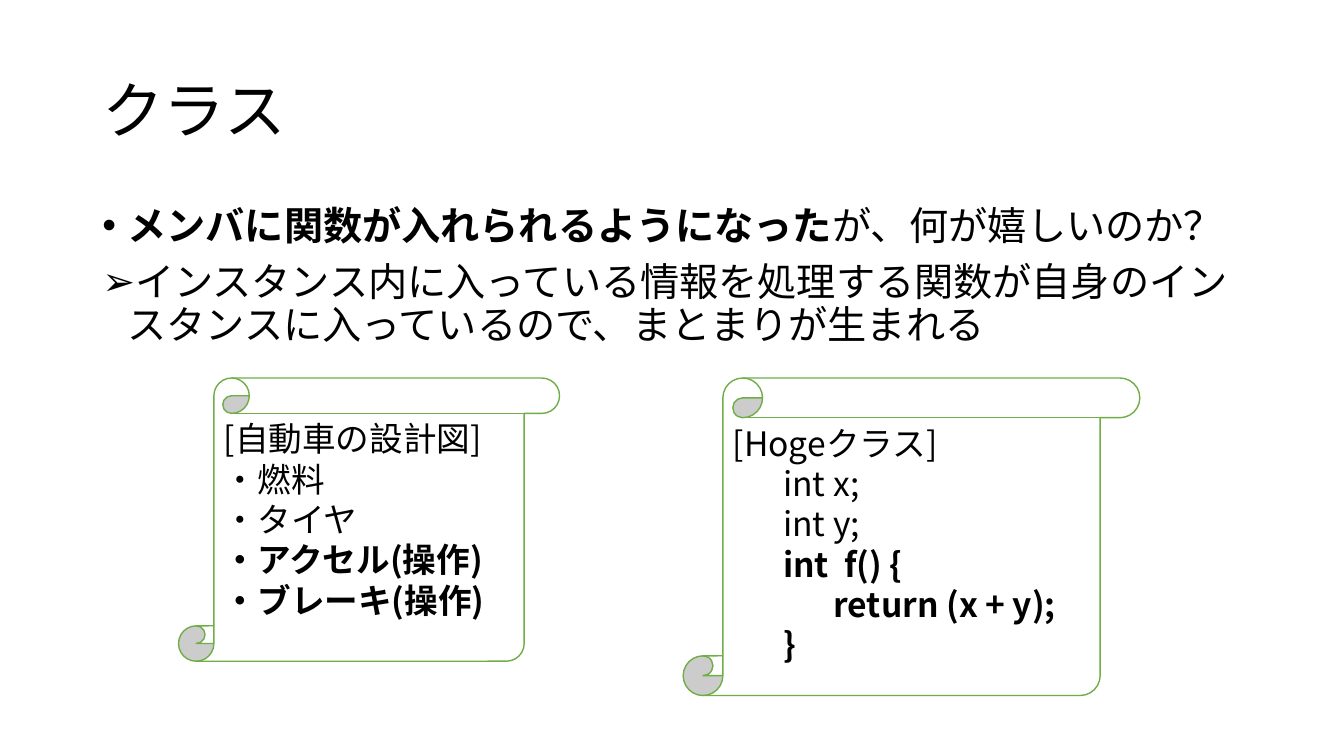
from lxml import etree
from pptx import Presentation
from pptx.dml.color import RGBColor
from pptx.enum.shapes import MSO_SHAPE
from pptx.enum.text import MSO_ANCHOR, PP_ALIGN
from pptx.oxml.ns import qn
from pptx.util import Pt

SCROLL = MSO_SHAPE.VERTICAL_SCROLL
TOP, MIDDLE = MSO_ANCHOR.TOP, MSO_ANCHOR.MIDDLE
LEFT = PP_ALIGN.LEFT
BLACK = RGBColor(0x00, 0x00, 0x00)
WHITE = RGBColor(0xFF, 0xFF, 0xFF)
GREEN = RGBColor(0x70, 0xAD, 0x47)
FONT = "Noto Sans CJK JP"
TITLE_SIZE, BODY_SIZE, SCROLL_SIZE = 44, 28, 24
HANGING, LEVEL_STEP = 18, 36
MARGIN, CONTENT_WIDTH = 66, 828
SCROLL_TOP = 270


class ClassSlide:
    def __init__(self, slide):
        self.shapes = slide.shapes

    def add_run(self, paragraph, words, size, bold=False):
        run = paragraph.add_run()
        run.text = words
        font = run.font
        font.size, font.bold, font.name = Pt(size), bold, FONT
        font.color.rgb = BLACK
        east_asian = etree.Element(qn("a:ea"), typeface=FONT)
        run._r.rPr.find(qn("a:latin")).addnext(east_asian)

    def set_indent(self, paragraph, left, first=0):
        properties = paragraph._p.get_or_add_pPr()
        properties.set("marL", str(Pt(left)))
        properties.set("indent", str(Pt(first)))
        return properties

    def text_box(self, top, height, anchor):
        frame = self.shapes.add_textbox(
            Pt(MARGIN), Pt(top), Pt(CONTENT_WIDTH), Pt(height)).text_frame
        frame.word_wrap = True
        frame.vertical_anchor = anchor
        return frame

    def title(self, words):
        heading = self.text_box(28.8, 104.4, MIDDLE).paragraphs[0]
        heading.line_spacing = 0.9
        self.add_run(heading, words, TITLE_SIZE)

    def bullets(self, items):
        """Each item is a bullet character and its (words, bold) runs."""
        frame = self.text_box(144, 342.7, TOP)
        for i, (mark, runs) in enumerate(items):
            point = frame.add_paragraph() if i else frame.paragraphs[0]
            properties = self.set_indent(point, HANGING, -HANGING)
            etree.SubElement(properties, qn("a:buFont"), typeface="Arial")
            etree.SubElement(properties, qn("a:buChar"), char=mark)
            point.line_spacing = 0.9
            point.space_before = Pt(10 if i else 0)
            for words, bold in runs:
                self.add_run(point, words, BODY_SIZE, bold)

    def scroll(self, left, width, height, lines):
        """Each line is its words, indent level and bold flag."""
        scroll = self.shapes.add_shape(
            SCROLL, Pt(left), Pt(SCROLL_TOP), Pt(width), Pt(height))
        scroll.shadow.inherit = False
        scroll.fill.solid()
        scroll.fill.fore_color.rgb = WHITE
        scroll.line.color.rgb = GREEN
        scroll.line.width = Pt(1)
        frame = scroll.text_frame
        frame.word_wrap = True
        frame.vertical_anchor = TOP
        for i, (words, level, bold) in enumerate(lines):
            line = frame.add_paragraph() if i else frame.paragraphs[0]
            line.alignment = LEFT
            line.level = level
            self.set_indent(line, level * LEVEL_STEP)
            self.add_run(line, words, SCROLL_SIZE, bold)


def main():
    deck = Presentation()
    deck.slide_width, deck.slide_height = Pt(960), Pt(540)
    page = ClassSlide(deck.slides.add_slide(deck.slide_layouts[6]))

    page.title("クラス")
    page.bullets([
        ("•", [("メンバに関数が入れられるようになった", True),
               ("が、何が嬉しいのか？", False)]),
        ("➢", [("インスタンス内に入っている情報を処理する関数が"
                "自身のインスタンスに入っているので、まとまりが生まれる", False)]),
    ])
    page.scroll(127.5, 272.2, 202.3, [
        ("[自動車の設計図]", 0, False),
        ("・燃料", 0, False),
        ("・タイヤ", 0, False),
        ("・アクセル(操作)", 0, True),
        ("・ブレーキ(操作)", 0, True),
    ])
    page.scroll(488, 326.2, 226.8, [
        ("[Hogeクラス]", 0, False),
        ("int x;", 1, False),
        ("int y;", 1, False),
        ("int  f() {", 1, True),
        ("return (x + y);", 2, True),
        ("}", 1, True),
    ])
    deck.save("out.pptx")


if __name__ == "__main__":
    main()
